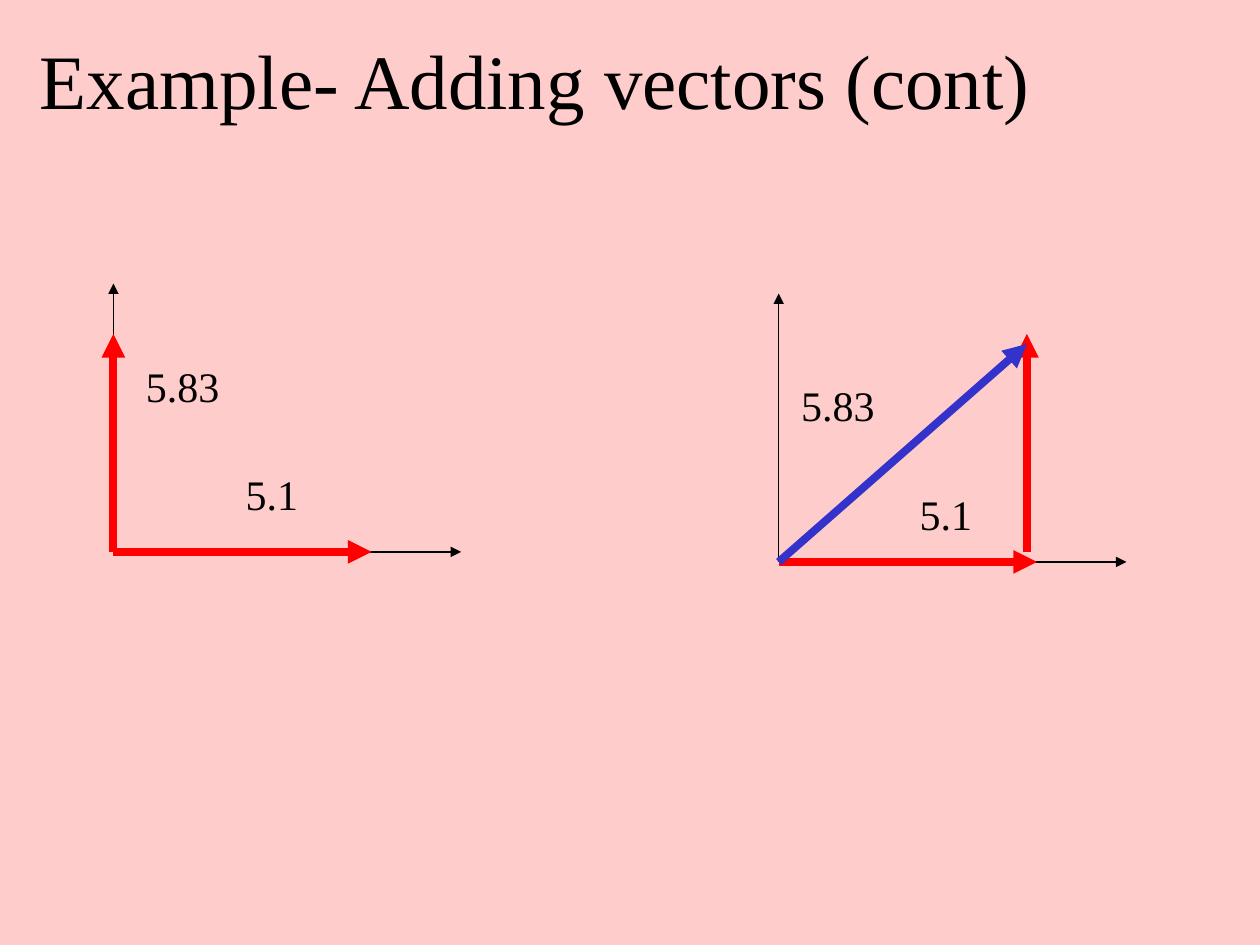
from dataclasses import dataclass

from lxml import etree
from pptx import Presentation
from pptx.dml.color import RGBColor
from pptx.enum.shapes import MSO_CONNECTOR
from pptx.enum.text import MSO_ANCHOR, MSO_AUTO_SIZE, PP_ALIGN
from pptx.oxml.ns import qn
from pptx.shapes.shapetree import GroupShapes, SlideShapes
from pptx.util import Inches, Pt

STRAIGHT = MSO_CONNECTOR.STRAIGHT
MIDDLE, TOP = MSO_ANCHOR.MIDDLE, MSO_ANCHOR.TOP
FIT_SHAPE, NO_FIT = MSO_AUTO_SIZE.SHAPE_TO_FIT_TEXT, MSO_AUTO_SIZE.NONE
LEFT, CENTER = PP_ALIGN.LEFT, PP_ALIGN.CENTER

FONT = "Times New Roman"
COLORS = {
    "background": "FFCCCC",
    "ink": "000000",
    "component": "FF0000",
    "resultant": "3333CC",
}
AXIS_HEIGHT, AXIS_WIDTH = 2.13, 2.76
VECTOR_HEIGHT, VECTOR_WIDTH = 1.73, 2.05
VECTOR_WEIGHT = 4.5

Point = tuple[float, float]
Shapes = SlideShapes | GroupShapes


@dataclass(frozen=True)
class Arrow:
    start: Point
    rise: float
    run: float
    color: str
    weight: float


@dataclass(frozen=True)
class Label:
    text: str
    left: float
    top: float
    width: float
    height: float = 0.5
    size: int = 24
    is_title: bool = False


@dataclass(frozen=True)
class Diagram:
    origin: Point
    vertical_start: Point
    labels: tuple[Label, ...]


TITLE = Label("Example- Adding vectors (cont)", 0, 0, 8.5, 1.25, 44, True)
COMPONENTS = Diagram(
    (0.9, 4.38),
    (0.9, 4.38),
    (Label("5.1", 1.85, 3.67, 0.62), Label("5.83", 1.06, 2.81, 0.78)),
)
HEAD_TO_TAIL = Diagram(
    (6.18, 4.46),
    (8.15, 4.38),
    (Label("5.1", 7.2, 3.83, 0.62), Label("5.83", 6.26, 2.96, 0.78)),
)
RESULTANT = Arrow(HEAD_TO_TAIL.origin, VECTOR_HEIGHT, 1.97, "resultant", VECTOR_WEIGHT)


def draw_arrow(shapes: Shapes, arrow: Arrow) -> None:
    """Draw a straight line with a triangular head at its end."""
    x, y = arrow.start
    connector = shapes.add_connector(
        STRAIGHT, Inches(x), Inches(y), Inches(x + arrow.run), Inches(y - arrow.rise)
    )
    connector.line.width = Pt(arrow.weight)
    connector.line.color.rgb = RGBColor.from_string(COLORS[arrow.color])
    etree.SubElement(connector.line._get_or_add_ln(), qn("a:tailEnd"), type="triangle")
    etree.SubElement(connector._element.spPr, qn("a:effectLst"))


def draw_label(shapes: Shapes, label: Label) -> None:
    """Write one line of text as a title or a number."""
    shape = shapes.add_textbox(
        Inches(label.left), Inches(label.top), Inches(label.width), Inches(label.height)
    )
    frame = shape.text_frame
    frame.word_wrap = label.is_title
    frame.auto_size = NO_FIT if label.is_title else FIT_SHAPE
    frame.vertical_anchor = MIDDLE if label.is_title else TOP
    paragraph = frame.paragraphs[0]
    paragraph.alignment = CENTER if label.is_title else LEFT
    run = paragraph.add_run()
    run.text = label.text
    run.font.name = FONT
    run.font.size = Pt(label.size)
    run.font.color.rgb = RGBColor.from_string(COLORS["ink"])


def draw_diagram(shapes: Shapes, diagram: Diagram) -> None:
    """Draw the axes, both component vectors and their labels."""
    arrows = (
        Arrow(diagram.origin, AXIS_HEIGHT, 0, "ink", 0.75),
        Arrow(diagram.origin, 0, AXIS_WIDTH, "ink", 1),
        Arrow(diagram.vertical_start, VECTOR_HEIGHT, 0, "component", VECTOR_WEIGHT),
        Arrow(diagram.origin, 0, VECTOR_WIDTH, "component", VECTOR_WEIGHT),
    )
    for arrow in arrows:
        draw_arrow(shapes, arrow)
    for label in diagram.labels:
        draw_label(shapes, label)


def main() -> None:
    """Build and save the vector addition slide."""
    presentation = Presentation()
    presentation.slide_width, presentation.slide_height = Inches(10), Inches(7.5)
    slide = presentation.slides.add_slide(presentation.slide_layouts[6])
    background = slide.background.fill
    background.solid()
    background.fore_color.rgb = RGBColor.from_string(COLORS["background"])
    draw_diagram(slide.shapes.add_group_shape().shapes, COMPONENTS)
    draw_label(slide.shapes, TITLE)
    draw_diagram(slide.shapes, HEAD_TO_TAIL)
    draw_arrow(slide.shapes, RESULTANT)
    presentation.save("out.pptx")


if __name__ == "__main__":
    main()
